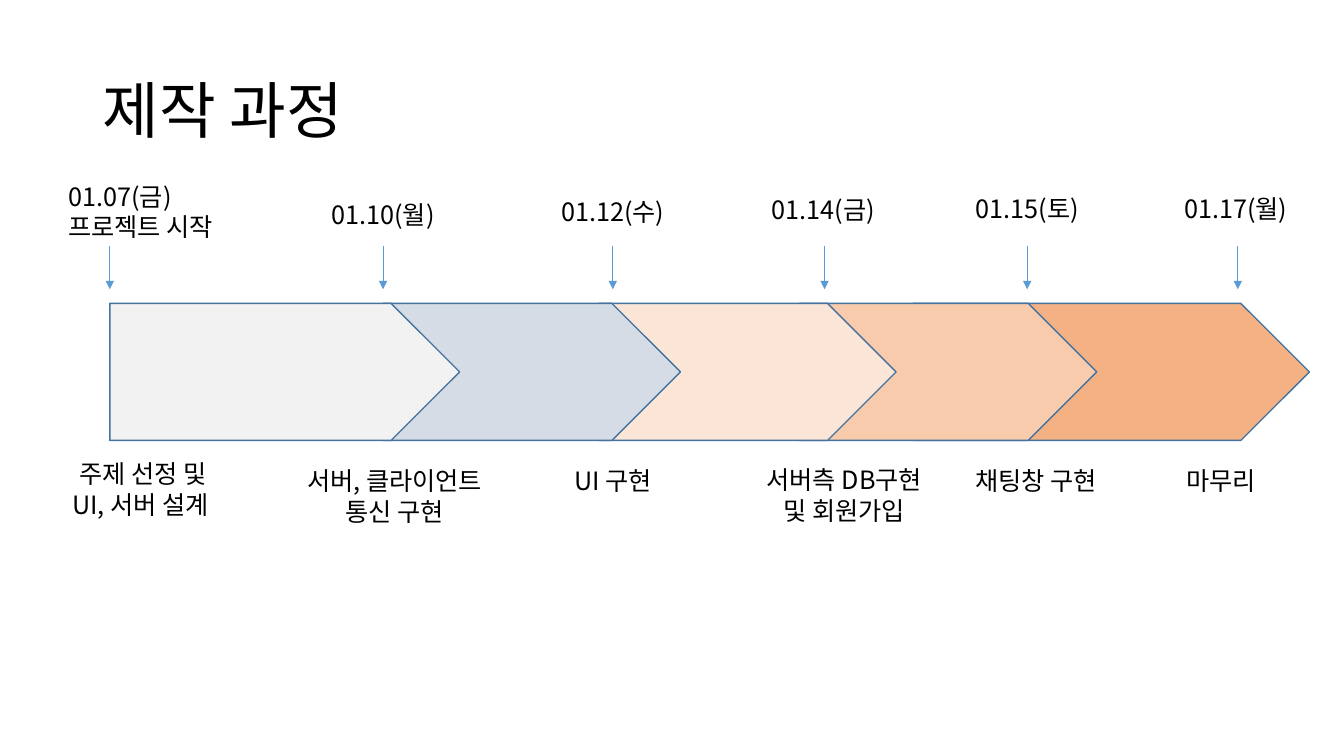
"""Build the production timeline slide: dates, arrows, stage band and task labels."""
import dataclasses
import typing

import pptx
import pptx.dml.color
import pptx.enum.shapes
import pptx.enum.text
import pptx.oxml
import pptx.oxml.ns
import pptx.slide
import pptx.util

RGBColor = pptx.dml.color.RGBColor
Align = pptx.enum.text.PP_ALIGN
Anchor = pptx.enum.text.MSO_ANCHOR

WIDTH = pptx.util.Inches(13.33)
HEIGHT = pptx.util.Inches(7.5)
COLUMN = WIDTH / 40
ROW = HEIGHT / 30

FONT = "Noto Sans CJK KR"
BLACK = RGBColor(0x00, 0x00, 0x00)
OUTLINE = RGBColor(0x43, 0x73, 0x9E)
ARROW = RGBColor(0x5B, 0x9B, 0xD5)
GREY = RGBColor(0xF2, 0xF2, 0xF2)
BLUE_GREY = RGBColor(0xD6, 0xDC, 0xE5)
PEACH = RGBColor(0xFB, 0xE5, 0xD6)
APRICOT = RGBColor(0xF8, 0xCB, 0xAD)
ORANGE = RGBColor(0xF4, 0xB1, 0x83)

BAND_TOP, BAND_HEIGHT = 12.04, 5.44
ARROW_TOP, ARROW_BOTTOM = 9.76, 11.48
BOX_HEIGHTS = {1: 1.6, 2: 2.84}


@dataclasses.dataclass(frozen=True)
class Caption:
    """Text lines in a box, placed in columns and rows."""
    lines: tuple[str, ...]
    left: float
    top: float
    width: float
    align: Align = Align.LEFT


@dataclasses.dataclass(frozen=True)
class Stage:
    """One pentagon of the band, placed in columns."""
    left: float
    width: float
    fill: RGBColor


@dataclasses.dataclass(frozen=True)
class Milestone:
    """A date, its arrow's column and the task below the band."""
    arrow: float
    date: Caption
    task: Caption


STAGES = (
    Stage(3.27, 10.41, GREY),
    Stage(11.4, 8.85, BLUE_GREY),
    Stage(17.82, 8.85, PEACH),
    Stage(23.79, 8.85, APRICOT),
    Stage(27.18, 11.79, ORANGE),
)

MILESTONES = (
    Milestone(3.27, Caption(("01.07(금)", "프로젝트 시작"), 1.74, 7, 5.91),
              Caption(("주제 선정 및", "UI, 서버 설계 "), 1.17, 18, 6.18, Align.CENTER)),
    Milestone(11.4, Caption(("01.10(월)",), 9.57, 7.72, 3.69),
              Caption(("서버, 클라이언트", "통신 구현"), 7.77, 18.28, 7.95, Align.CENTER)),
    Milestone(18.24, Caption(("01.12(수)",), 16.41, 7.6, 3.69),
              Caption(("UI 구현",), 15.87, 18.28, 4.74, Align.CENTER)),
    Milestone(24.54, Caption(("01.14(금)",), 22.68, 7.52, 3.69),
              Caption(("서버측 DB구현", "및 회원가입"), 22.32, 18.24, 5.61, Align.CENTER)),
    Milestone(30.57, Caption(("01.15(토)",), 28.74, 7.48, 3.69),
              Caption(("채팅창 구현",), 28.2, 18.28, 5.28, Align.CENTER)),
    Milestone(36.84, Caption(("01.17(월)",), 34.95, 7.48, 3.69),
              Caption(("마무리",), 35.01, 18.28, 3.09)),
)


def columns(count: float) -> int:
    """Return the length of a number of grid columns."""
    return round(count * COLUMN)


def rows(count: float) -> int:
    """Return the length of a number of grid rows."""
    return round(count * ROW)


def add_caption(slide: pptx.slide.Slide, caption: Caption, size: float = 18,
                height: typing.Optional[float] = None,
                anchor: Anchor = Anchor.TOP, spacing: float = 1.0) -> None:
    """Add a wrapping text box with one paragraph per line."""
    box_height = height or BOX_HEIGHTS[len(caption.lines)]
    shape = slide.shapes.add_textbox(columns(caption.left), rows(caption.top),
                                     columns(caption.width), rows(box_height))
    frame = shape.text_frame
    frame.word_wrap = True
    frame.vertical_anchor = anchor
    for index, line in enumerate(caption.lines):
        paragraph = frame.add_paragraph() if index else frame.paragraphs[0]
        paragraph.alignment = caption.align
        paragraph.line_spacing = spacing
        run = paragraph.add_run()
        run.text = line
        run.font.size = pptx.util.Pt(size)
        run.font.name = FONT
        run.font.color.rgb = BLACK
        east_asian = pptx.oxml.ns.qn("a:ea")
        latin = run.font._element.find(pptx.oxml.ns.qn("a:latin"))
        latin.addnext(latin.makeelement(east_asian, {"typeface": FONT}))


def add_stage(slide: pptx.slide.Slide, stage: Stage) -> None:
    """Add one pentagon of the band."""
    shape = slide.shapes.add_shape(
        pptx.enum.shapes.MSO_SHAPE.PENTAGON, columns(stage.left), rows(BAND_TOP),
        columns(stage.width), rows(BAND_HEIGHT))
    shape.shadow.inherit = False
    shape.fill.solid()
    shape.fill.fore_color.rgb = stage.fill
    shape.line.color.rgb = OUTLINE
    shape.line.width = pptx.util.Pt(1)


def add_arrow(slide: pptx.slide.Slide, column: float) -> None:
    """Add a downward arrow from a date to the band."""
    connector = slide.shapes.add_connector(
        pptx.enum.shapes.MSO_CONNECTOR.STRAIGHT, columns(column), rows(ARROW_TOP),
        columns(column), rows(ARROW_BOTTOM))
    connector.line.color.rgb = ARROW
    connector.line.width = pptx.util.Pt(0.5)
    line = connector.line._get_or_add_ln()
    line.append(line.makeelement(pptx.oxml.ns.qn("a:tailEnd"), {"type": "triangle"}))
    line.addnext(line.makeelement(pptx.oxml.ns.qn("a:effectLst"), {}))


def main() -> None:
    """Build and save the presentation."""
    presentation = pptx.Presentation()
    presentation.slide_width = WIDTH
    presentation.slide_height = HEIGHT
    slide = presentation.slides.add_slide(presentation.slide_layouts[6])
    add_caption(slide, Caption(("제작 과정",), 2.76, 1.6, 34.5), size=44,
                height=5.8, anchor=Anchor.MIDDLE, spacing=0.9)
    for stage in reversed(STAGES):
        add_stage(slide, stage)
    for milestone in MILESTONES:
        add_arrow(slide, milestone.arrow)
        add_caption(slide, milestone.date)
        add_caption(slide, milestone.task)
    presentation.save("out.pptx")


if __name__ == "__main__":
    main()
